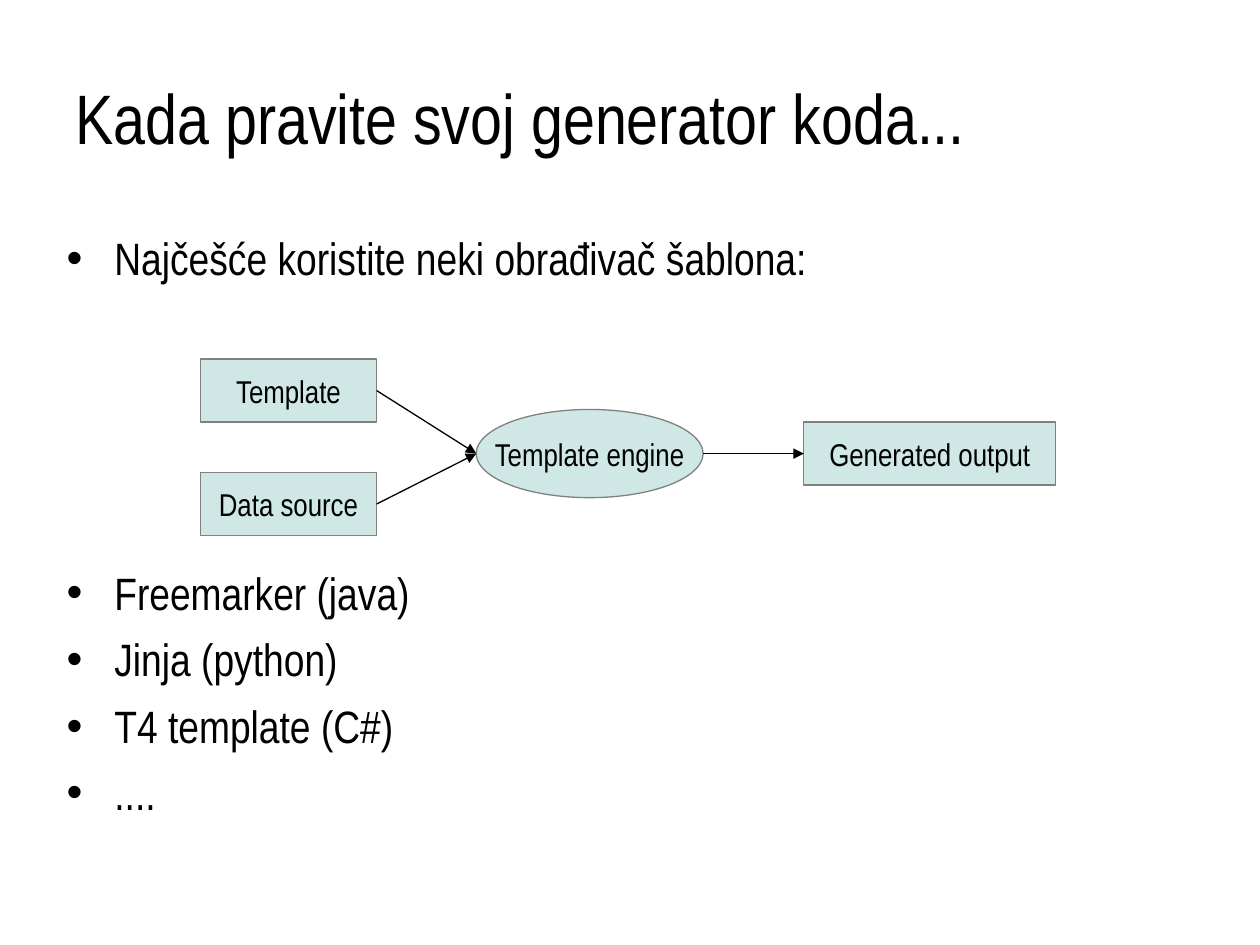
from dataclasses import dataclass

from lxml.etree import SubElement
from pptx import Presentation
from pptx.dml.color import RGBColor
from pptx.enum.shapes import MSO_CONNECTOR, MSO_SHAPE
from pptx.enum.text import MSO_ANCHOR, PP_ALIGN
from pptx.oxml.ns import qn
from pptx.shapes.autoshape import Shape
from pptx.shapes.connector import Connector
from pptx.slide import Slide
from pptx.text.text import TextFrame
from pptx.util import Inches, Pt

BLACK = RGBColor(0x00, 0x00, 0x00)
GRAY = RGBColor(0x80, 0x80, 0x80)
MINT = RGBColor(0xCF, 0xE7, 0xE5)
FONT = "Arial Narrow"
CELL = Inches(0.1)
COLUMNS, ROWS = 100, 75
LINE_WIDTH = Pt(0.75)
BULLET_INDENT = Inches(0.38)
BULLET_GAP = Pt(7)
DIAGRAM_GAP = Pt(160)
MIDDLE_ROW = 36
RIGHT_SIDE, LEFT_SIDE = 3, 1


@dataclass(frozen=True)
class Area:
    """A rectangle in grid columns and rows."""

    column: float
    row: float
    width: float
    height: float

    def lengths(self) -> tuple[int, ...]:
        """Return left, top, width and height as slide lengths."""
        return tuple(round(cells * CELL) for cells in
                     (self.column, self.row, self.width, self.height))


@dataclass(frozen=True)
class Node:
    """A labelled step of the diagram, centred on a row."""

    label: str
    column: float
    center_row: float
    width: float
    height: float = 5
    kind: MSO_SHAPE = MSO_SHAPE.FLOWCHART_PROCESS

    def area(self) -> Area:
        """Return the area that the step covers."""
        return Area(self.column, self.center_row - self.height / 2, self.width, self.height)


TITLE_AREA = Area(5, 3, 90, 12.5)
BODY_AREA = Area(4.3, 17.8, 90, 49.5)
INTRO = "Najčešće koristite neki obrađivač šablona:"
ENGINES = ("Freemarker (java)", "Jinja (python)", "T4 template (C#)", "....")
SOURCES = (
    Node("Template", 15.9, 31, 14),
    Node("Data source", 15.9, 40, 14),
)
ENGINE = Node("Template engine", 37.8, MIDDLE_ROW, 18, 7, MSO_SHAPE.FLOWCHART_CONNECTOR)
OUTPUT = Node("Generated output", 63.8, MIDDLE_ROW, 20)


def style_text(frame: TextFrame, size: float) -> None:
    """Give every run the slide's font and colour."""
    for para in frame.paragraphs:
        for span in para.runs:
            span.font.name = FONT
            span.font.size = Pt(size)
            span.font.color.rgb = BLACK


def add_text(page: Slide, area: Area, text: str, size: float) -> TextFrame:
    """Add a wrapping text box and return its frame."""
    frame = page.shapes.add_textbox(*area.lengths()).text_frame
    frame.word_wrap = True
    frame.text = text
    style_text(frame, size)
    return frame


def add_bullets(frame: TextFrame) -> None:
    """Turn every paragraph into a hanging bullet."""
    for para in frame.paragraphs:
        para.space_before = BULLET_GAP
        properties = para._p.get_or_add_pPr()
        properties.set("marL", str(BULLET_INDENT))
        properties.set("indent", str(-BULLET_INDENT))
        SubElement(properties, qn("a:buFont"), typeface="Arial")
        SubElement(properties, qn("a:buChar"), char="•")


def add_node(page: Slide, node: Node) -> Shape:
    """Draw one step of the diagram."""
    box = page.shapes.add_shape(node.kind, *node.area().lengths())
    box.shadow.inherit = False
    box.fill.solid()
    box.fill.fore_color.rgb = MINT
    box.line.color.rgb = GRAY
    box.line.width = LINE_WIDTH
    frame = box.text_frame
    frame.word_wrap = False
    frame.vertical_anchor = MSO_ANCHOR.MIDDLE
    frame.text = node.label
    frame.paragraphs[0].alignment = PP_ALIGN.CENTER
    style_text(frame, 18)
    return box


def add_arrow(page: Slide, start: Shape, end: Shape) -> Connector:
    """Draw an arrow from the right side of one step to the left side of another."""
    arrow = page.shapes.add_connector(
        MSO_CONNECTOR.STRAIGHT,
        start.left + start.width, start.top + start.height // 2,
        end.left, end.top + end.height // 2,
    )
    arrow.line.color.rgb = BLACK
    arrow.line.width = LINE_WIDTH
    SubElement(arrow.line._get_or_add_ln(), qn("a:tailEnd"), type="triangle")
    SubElement(arrow._element.spPr, qn("a:effectLst"))
    return arrow


def add_diagram(page: Slide) -> None:
    """Draw the flow from the sources through the engine to the output."""
    sources = [add_node(page, node) for node in SOURCES]
    engine = add_node(page, ENGINE)
    output = add_node(page, OUTPUT)
    add_arrow(page, engine, output).end_connect(output, LEFT_SIDE)
    for source in sources:
        add_arrow(page, source, engine).begin_connect(source, RIGHT_SIDE)


def main() -> None:
    """Build and save the slide."""
    deck = Presentation()
    deck.slide_width = COLUMNS * CELL
    deck.slide_height = ROWS * CELL
    page = deck.slides.add_slide(deck.slide_layouts[6])
    title = add_text(page, TITLE_AREA, "Kada pravite svoj generator koda...", 40)
    title.vertical_anchor = MSO_ANCHOR.MIDDLE
    body = add_text(page, BODY_AREA, "\n".join((INTRO, *ENGINES)), 25.9)
    add_bullets(body)
    body.paragraphs[1].space_before = DIAGRAM_GAP
    add_diagram(page)
    deck.save("out.pptx")


if __name__ == "__main__":
    main()
